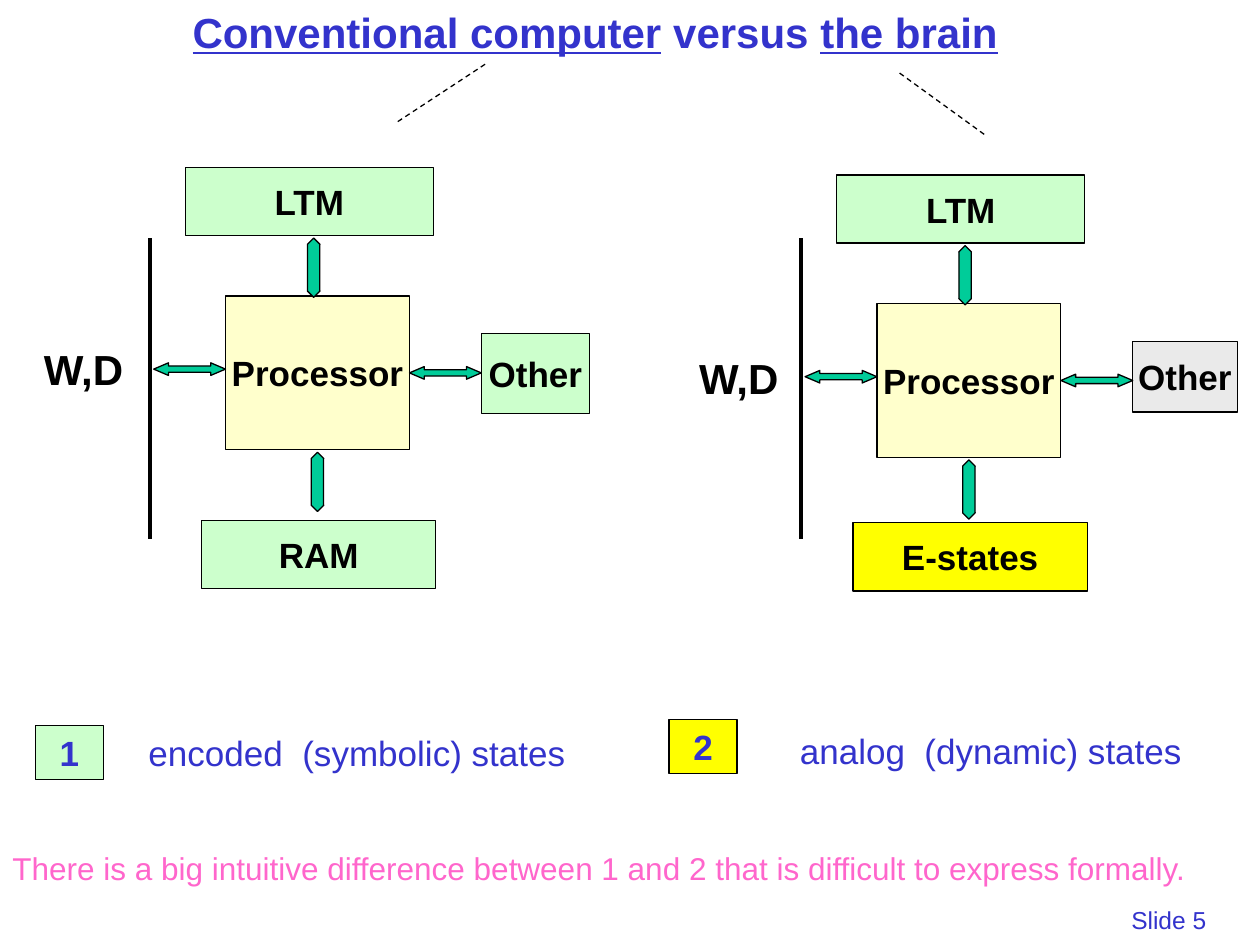
import pptx
import pptx.dml.color
import pptx.enum.dml
import pptx.enum.shapes
import pptx.enum.text
import pptx.util
import lxml.etree

Inches = pptx.util.Inches
Pt = pptx.util.Pt
Shapes = pptx.enum.shapes.MSO_SHAPE

COLORS = {
    "black": "000000",
    "blue": "3333CC",
    "pink": "FF66CC",
    "teal": "00CC99",
    "cream": "FFFFCC",
    "green": "CCFFCC",
    "yellow": "FFFF00",
    "gray": "EAEAEA",
}


class SlideBuilder:
    font_name = "Arial"
    outline = 0.75

    def __init__(self, slide):
        self.slide = slide

    def color(self, name):
        return pptx.dml.color.RGBColor.from_string(COLORS[name])

    def add_run(self, paragraph, text, size, color, bold=False, underline=False):
        run = paragraph.add_run()
        run.text = text
        run.font.name = self.font_name
        run.font.size = Pt(size)
        run.font.bold = bold
        run.font.underline = underline
        run.font.color.rgb = self.color(color)

    def shape(self, kind, left, top, width, height, fill):
        shape = self.slide.shapes.add_shape(
            kind, Inches(left), Inches(top), Inches(width), Inches(height)
        )
        shape.shadow.inherit = False
        shape.fill.solid()
        shape.fill.fore_color.rgb = self.color(fill)
        shape.line.color.rgb = self.color("black")
        shape.line.width = Pt(self.outline)
        return shape

    def box(self, text, left, top, width, height, fill, color="black"):
        shape = self.shape(Shapes.RECTANGLE, left, top, width, height, fill)
        frame = shape.text_frame
        frame.word_wrap = False
        frame.vertical_anchor = pptx.enum.text.MSO_ANCHOR.MIDDLE
        paragraph = frame.paragraphs[0]
        paragraph.alignment = pptx.enum.text.PP_ALIGN.CENTER
        self.add_run(paragraph, text, 20, color, bold=True)

    def horizontal_arrow(self, left, top):
        shape = self.shape(Shapes.LEFT_RIGHT_ARROW, left, top, 0.57, 0.1, "teal")
        shape.adjustments[1] = 1.17

    def vertical_arrow(self, left, top):
        shape = self.shape(Shapes.UP_DOWN_ARROW, left, top, 0.1, 0.47, "teal")
        shape.adjustments[1] = 0.97

    def line(self, start, end, width, dashed=False):
        connector = self.slide.shapes.add_connector(
            pptx.enum.shapes.MSO_CONNECTOR.STRAIGHT,
            *[Inches(value) for value in (*start, *end)]
        )
        connector.line.color.rgb = self.color("black")
        connector.line.width = Pt(width)
        if dashed:
            connector.line.dash_style = pptx.enum.dml.MSO_LINE.DASH
        properties = connector._element.spPr
        lxml.etree.SubElement(properties, pptx.oxml.ns.qn("a:effectLst"))

    def text(self, runs, left, top, width, height, size, color, bold=False):
        text_box = self.slide.shapes.add_textbox(
            Inches(left), Inches(top), Inches(width), Inches(height)
        )
        frame = text_box.text_frame
        frame.word_wrap = True
        frame.auto_size = pptx.enum.text.MSO_AUTO_SIZE.SHAPE_TO_FIT_TEXT
        for text, underline in runs:
            self.add_run(frame.paragraphs[0], text, size, color, bold, underline)

    def label(self, text, left, top, width, height, size, color, bold=False):
        self.text([(text, False)], left, top, width, height, size, color, bold)

    def machine(self, x, y, axis_x, label_at, memory, other):
        self.line((axis_x, 1.89), (axis_x, 4.28), 2.25)
        self.label("W,D", *label_at, 0.88, 0.5, 24, "black", bold=True)
        self.box("Processor", x, y, 1.46, 1.22, "cream")
        self.box("LTM", x - 0.32, y - 1.02, 1.97, 0.54, "green")
        memory_text, memory_top, memory_fill = memory
        self.box(memory_text, x - 0.19, memory_top, 1.86, 0.54, memory_fill)
        self.box("Other", *other)
        self.horizontal_arrow(x - 0.57, y + 0.53)
        self.horizontal_arrow(x + 1.46, y + 0.56)
        self.vertical_arrow(x + 0.65, y - 0.46)
        self.vertical_arrow(x + 0.68, y + 1.24)


def main():
    presentation = pptx.Presentation()
    presentation.slide_width = Inches(10)
    presentation.slide_height = Inches(7.5)
    slide = presentation.slides.add_slide(presentation.slide_layouts[6])
    builder = SlideBuilder(slide)

    title = [("Conventional computer", True), (" versus ", False), ("the brain", True)]
    builder.text(title, 1.43, 0, 7.26, 0.5, 24, "blue", bold=True)
    builder.line((3.85, 0.51), (3.15, 0.97), 0.75, dashed=True)
    builder.line((7.14, 0.58), (7.83, 1.08), 0.75, dashed=True)

    builder.machine(
        1.79, 2.35, 1.19, (0.25, 2.68),
        ("RAM", 4.13, "green"), (3.82, 2.65, 0.86, 0.63, "green"),
    )
    builder.machine(
        6.96, 2.41, 6.36, (5.45, 2.75),
        ("E-states", 4.15, "yellow"), (8.99, 2.71, 0.83, 0.56, "gray"),
    )

    builder.box("1", 0.28, 5.76, 0.54, 0.43, "green", "blue")
    builder.label("encoded  (symbolic) states", 1.08, 5.76, 3.68, 0.44, 20, "blue")
    builder.box("2", 5.31, 5.71, 0.54, 0.43, "yellow", "blue")
    builder.label("analog  (dynamic) states", 6.25, 5.74, 3.75, 0.44, 20, "blue")

    builder.label(
        "There is a big intuitive difference between 1 and 2 "
        "that is difficult to express formally.",
        0, 6.69, 10, 0.4, 18, "pink",
    )
    builder.label("Slide 5", 8.88, 7.13, 0.98, 0.34, 14, "blue")

    presentation.save("out.pptx")


if __name__ == "__main__":
    main()
